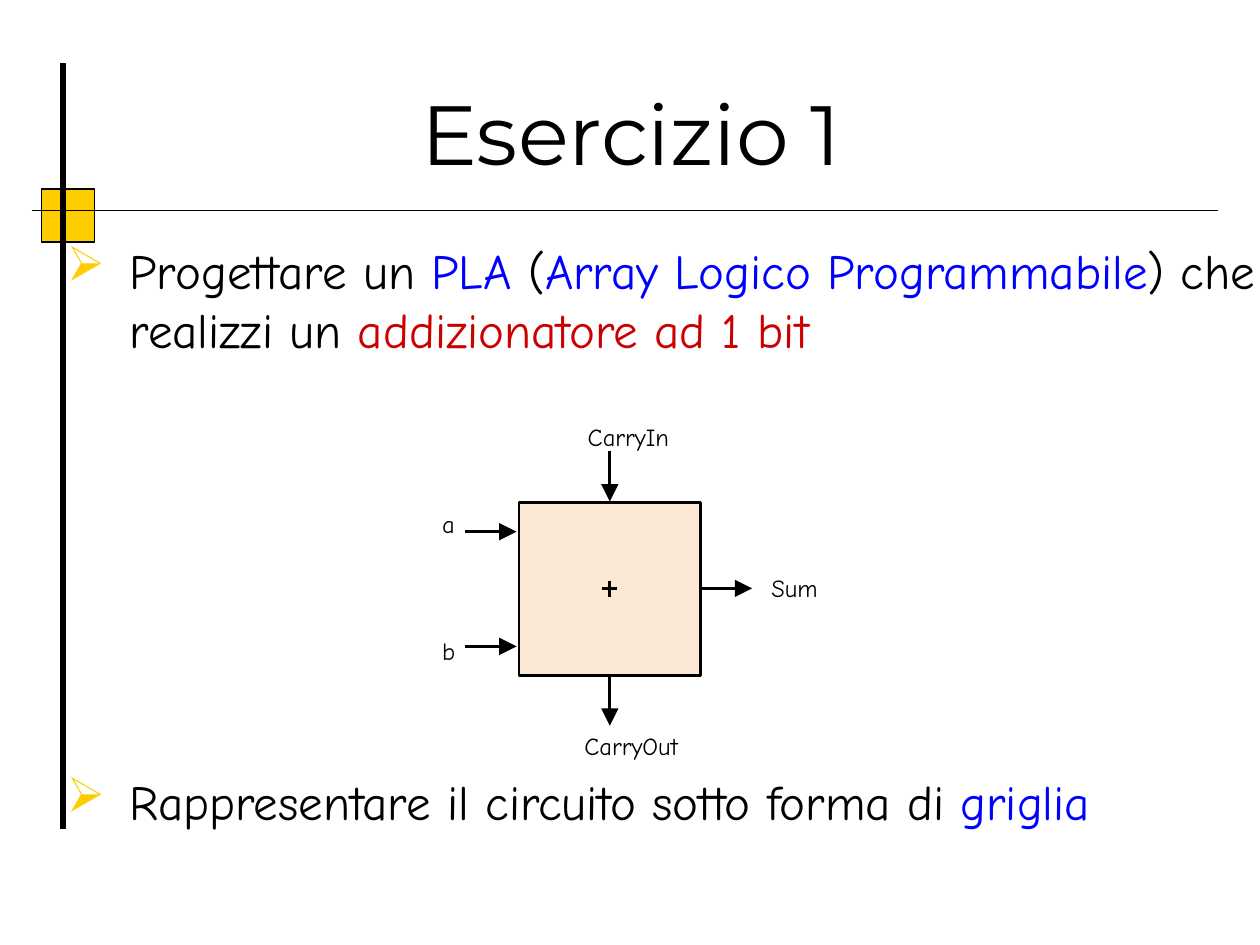
"""Build the slide on a one-bit adder made with a PLA."""
import pptx
import pptx.dml.color
import pptx.enum.shapes
import pptx.enum.text
import pptx.oxml
import pptx.oxml.ns
import pptx.util

Inches, Pt = pptx.util.Inches, pptx.util.Pt
ALIGN = pptx.enum.text.PP_ALIGN
KIND = pptx.enum.shapes.MSO_SHAPE
THEME = {
    "ink": "000000", "blue": "0000FF", "red": "CC0000",
    "gold": "FFCC00", "box": "FBE9D5",
    "head": {"name": "Montserrat", "size": Pt(48)},
    "body": {"name": "Comic Neue", "size": Pt(28)},
    "label": {"name": "Comic Neue", "size": Pt(14)},
}
TITLE = "Esercizio 1"
TASKS = [
    (0, [("Progettare un ", "ink"), ("PLA", "blue"), (" (", "ink"),
         ("Array Logico Programmabile", "blue"), (") che realizzi un ", "ink"),
         ("addizionatore ad 1 bit", "red")]),
    (236, [("Rappresentare il circuito sotto forma di ", "ink"),
           ("griglia", "blue")]),
]
LABELS = [
    ("a", (3.51, 4.04, 0.3, 0.24), ALIGN.LEFT),
    ("b", (3.51, 5.05, 0.3, 0.24), ALIGN.LEFT),
    ("Sum", (5.89, 4.55, 0.6, 0.24), ALIGN.RIGHT),
    ("CarryIn", (4.29, 3.35, 1.02, 0.24), ALIGN.RIGHT),
    ("CarryOut", (4.29, 5.8, 1.09, 0.24), ALIGN.RIGHT),
]
ADDER = (4.12, 3.99, 1.44, 1.37)
MIDX, MIDY = 4.84, 4.67
ARROWS = [
    (3.69, 4.22, 4.1, 4.22),
    (3.69, 5.13, 4.1, 5.13),
    (5.56, MIDY, 5.97, MIDY),
    (MIDX, 3.58, MIDX, 3.98),
    (MIDX, 5.36, MIDX, 5.76),
]
PLUS = [
    (MIDX - 0.06, MIDY, MIDX + 0.06, MIDY),
    (MIDX, MIDY - 0.06, MIDX, MIDY + 0.07),
]
RULES = [((0.5, 6.58, 0.5, 0.5), 3), ((0.25, 1.67, 9.67, 1.67), 0.75)]


def tint(key):
    return pptx.dml.color.RGBColor.from_string(THEME[key])


def node(tag, attrs=""):
    space = pptx.oxml.ns.nsdecls("a")
    return pptx.oxml.parse_xml(f"<a:{tag} {space} {attrs}/>")


def put(item, values):
    for name, value in values.items():
        setattr(item, name, value)


def write(para, text, style, color="ink"):
    run = para.add_run()
    run.text = text
    put(run.font, THEME[style])
    run.font.color.rgb = tint(color)


def block(shapes, area, fill, width):
    shape = shapes.add_shape(KIND.RECTANGLE, *map(Inches, area))
    shape.shadow.inherit = False
    shape.fill.solid()
    shape.fill.fore_color.rgb = tint(fill)
    shape.line.color.rgb = tint("ink")
    shape.line.width = Pt(width)


def line(shapes, ends, width, arrow=False):
    kind = pptx.enum.shapes.MSO_CONNECTOR.STRAIGHT
    wire = shapes.add_connector(kind, *map(Inches, ends))
    wire.line.color.rgb = tint("ink")
    wire.line.width = Pt(width)
    props = wire._element.spPr
    if arrow:
        stroke = props.find(pptx.oxml.ns.qn("a:ln"))
        stroke.append(node("tailEnd", 'type="triangle" w="lg" len="lg"'))
    props.append(node("effectLst"))


def frame(shapes, area, pad=None):
    text = shapes.add_textbox(*map(Inches, area)).text_frame
    text.word_wrap = True
    if pad is not None:
        sides = ("left", "right", "top", "bottom")
        put(text, {f"margin_{side}": pad for side in sides})
    return text


def bullet(para):
    props = para._p.get_or_add_pPr()
    props.set("marL", str(Inches(0.5)))
    props.set("indent", str(Inches(-0.5)))
    color = node("buClr")
    color.append(node("srgbClr", f'val="{THEME["gold"]}"'))
    props.append(color)
    props.append(node("buChar", 'char="➢"'))


def head(title):
    spots = ("left", "top", "width", "height")
    put(title, dict(zip(spots, map(Inches, (0.44, 0.25, 9.14, 1.25)))))
    text = title.text_frame
    put(text, {"vertical_anchor": pptx.enum.text.MSO_ANCHOR.BOTTOM,
               "auto_size": pptx.enum.text.MSO_AUTO_SIZE.NONE})
    para = text.paragraphs[0]
    para.alignment = ALIGN.CENTER
    write(para, TITLE, "head")


def tasks(shapes):
    text = frame(shapes, (0.43, 1.86, 9.69, 4.81))
    for num, (gap, runs) in enumerate(TASKS):
        para = text.add_paragraph() if num else text.paragraphs[0]
        bullet(para)
        para.space_before = Pt(gap)
        for words, color in runs:
            write(para, words, "body", color)


def circuit(shapes):
    block(shapes, ADDER, "box", 1.6)
    for ends in ARROWS:
        line(shapes, ends, 1.6, arrow=True)
    for ends in PLUS:
        line(shapes, ends, 1.5)
    for words, area, align in LABELS:
        para = frame(shapes, area, 0).paragraphs[0]
        para.alignment = align
        write(para, words, "label")


def main():
    deck = pptx.Presentation()
    put(deck, {"slide_width": Inches(10), "slide_height": Inches(7.5)})
    shapes = deck.slides.add_slide(deck.slide_layouts[5]).shapes
    block(shapes, (0.33, 1.5, 0.42, 0.42), "gold", 0.75)
    for ends, width in RULES:
        line(shapes, ends, width)
    head(shapes.title)
    tasks(shapes)
    circuit(shapes)
    deck.save("out.pptx")


if __name__ == "__main__":
    main()
